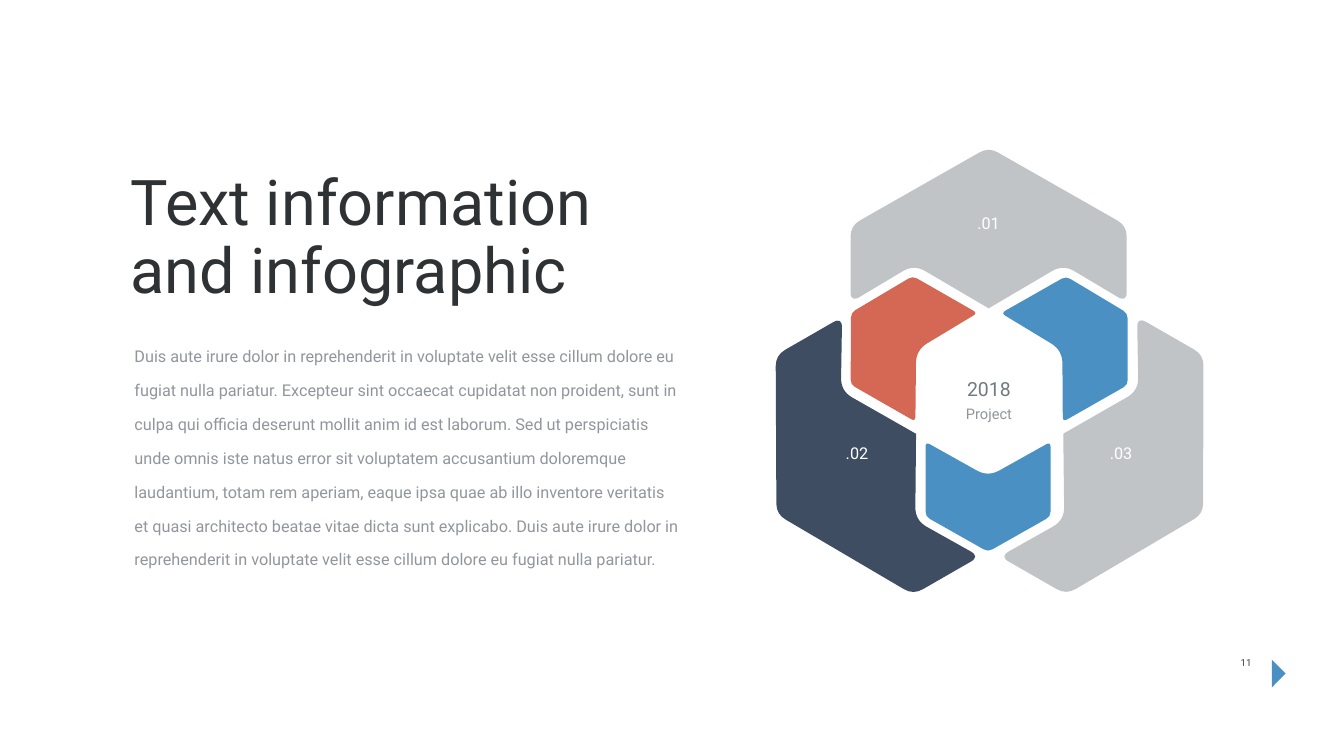
from math import cos, dist, radians, sin

from lxml.etree import SubElement
from pptx import Presentation
from pptx.dml.color import RGBColor
from pptx.enum.text import MSO_ANCHOR, MSO_AUTO_SIZE, PP_ALIGN
from pptx.oxml.ns import qn
from pptx.util import Cm, Pt

FONT = "Roboto"
WHITE = RGBColor(0xFF, 0xFF, 0xFF)
INK = RGBColor(0x2F, 0x32, 0x35)
NUMBER_GREY = RGBColor(0x3F, 0x43, 0x47)
BODY_GREY = RGBColor(0x91, 0x96, 0x9D)
YEAR_GREY = RGBColor(0x71, 0x79, 0x81)
LIGHT_GREY = RGBColor(0xC1, 0xC4, 0xC7)
NAVY = RGBColor(0x3E, 0x4D, 0x61)
RED = RGBColor(0xD5, 0x68, 0x54)
BLUE = RGBColor(0x4B, 0x90, 0xC2)

CENTRE = (49.83, 19.76)
OUTER_HALF = [(0, -12.34, 0.53), (6.96, -8.38, 0.55), (6.96, -4.52, 0.53),
              (3.76, -6.43, 0.66), (0, -4.22, 0)]
INNER_HALF = [(0, 8.05, 0.25), (3.15, 6.27, 0.25), (3.15, 2.51, 0.25), (0, 4.27, 0.66)]

BODY = (
    "Duis aute irure dolor in reprehenderit in voluptate velit esse cillum dolore eu "
    "fugiat nulla pariatur. Excepteur sint occaecat cupidatat non proident, sunt in "
    "culpa qui officia deserunt mollit anim id est laborum. Sed ut perspiciatis "
    "unde omnis iste natus error sit voluptatem accusantium doloremque "
    "laudantium, totam rem aperiam, eaque ipsa quae ab illo inventore veritatis "
    "et quasi architecto beatae vitae dicta sunt explicabo. Duis aute irure dolor in "
    "reprehenderit in voluptate velit esse cillum dolore eu fugiat nulla pariatur."
)


def toward(corner, neighbour, length):
    share = length / dist(corner, neighbour)
    return tuple(a + (b - a) * share for a, b in zip(corner, neighbour))


def round_corners(corners):
    points, controls = [], []
    for index, (x, y, trim) in enumerate(corners):
        corner = (x, y)
        if trim == 0:
            points.append(corner)
            continue
        controls.append(len(points) + 1)
        points += [toward(corner, corners[index - 1][:2], trim), corner,
                   toward(corner, corners[(index + 1) % len(corners)][:2], trim)]
    return points, controls


def bend_corners(shape, controls):
    outline = next(shape._element.iter(qn("a:path")))
    segments = list(outline)
    for control in controls:
        corner, end = segments[control:control + 2]
        curve = SubElement(outline, qn("a:quadBezTo"))
        outline.replace(corner, curve)
        curve.extend([corner[0], end[0]])
        outline.remove(end)


def add_polygon(slide, points, color):
    vertices = [(Cm(x), Cm(y)) for x, y in points]
    builder = slide.shapes.build_freeform(*vertices[0])
    builder.add_line_segments(vertices[1:], close=True)
    shape = builder.convert_to_shape()
    shape.shadow.inherit = False
    shape.fill.solid()
    shape.fill.fore_color.rgb = color
    shape.line.fill.background()
    return shape


def add_petal(slide, half, degrees, shift, color):
    mirrored = [(-x, y, trim) for x, y, trim in reversed(half[1:-1])]
    points, controls = round_corners(half + mirrored)
    cosine, sine = cos(radians(degrees)), sin(radians(degrees))
    turned = [(CENTRE[0] + shift + x * cosine - y * sine, CENTRE[1] + x * sine + y * cosine)
              for x, y in points]
    bend_corners(add_polygon(slide, turned, color), controls)


def write_text(shape, lines, size, color, align=PP_ALIGN.LEFT, spacing=1.0,
               anchor=MSO_ANCHOR.TOP, wrap=True, raised=0, fit=MSO_AUTO_SIZE.NONE):
    frame = shape.text_frame
    frame.auto_size = fit
    frame.word_wrap = wrap
    frame.vertical_anchor = anchor
    frame.margin_left = frame.margin_right = Cm(0.15)
    frame.margin_top = frame.margin_bottom = Cm(0.15)
    for index, line in enumerate(lines):
        paragraph = frame.add_paragraph() if index else frame.paragraphs[0]
        paragraph.alignment = align
        paragraph.line_spacing = spacing
        paragraph.space_before = Pt(0)
        run = paragraph.add_run()
        run.text = line
        run.font.name = FONT
        run.font.size = Pt(size)
        run.font.color.rgb = color
        if raised:
            run.font._element.set("baseline", str(raised * 1000))


def add_text(slide, box, text, size, color, **options):
    shape = slide.shapes.add_textbox(*map(Cm, box))
    write_text(shape, [text], size, color, **options)


def set_title(slide):
    title = slide.shapes.title
    title.left, title.top, title.width, title.height = map(Cm, (6.43, 5.54, 26.06, 13.03))
    write_text(title, ["Text information", "and infographic"], 90, INK,
               spacing=0.9, anchor=MSO_ANCHOR.MIDDLE)


def add_infographic(slide):
    for half, degrees, shift, color in (
        (OUTER_HALF, 0, 0, LIGHT_GREY),
        (OUTER_HALF, 119.8, 0.1, LIGHT_GREY),
        (OUTER_HALF, 240.1, 0, NAVY),
        (INNER_HALF, 119.8, 0.05, RED),
        (INNER_HALF, 240.4, 0, BLUE),
        (INNER_HALF, 0, -0.03, BLUE),
    ):
        add_petal(slide, half, degrees, shift, color)
    for text, left, top in ((".01", 48.67, 10.62), (".03", 55.35, 22.2), (".02", 42.04, 22.2)):
        add_text(slide, (left, top, 2.31, 2.16), text, 40, WHITE, align=PP_ALIGN.CENTER,
                 spacing=0.9, anchor=MSO_ANCHOR.MIDDLE, wrap=False, raised=43,
                 fit=MSO_AUTO_SIZE.SHAPE_TO_FIT_TEXT)
    add_text(slide, (46.15, 20.7, 7.39, 1.04), "Project", 36, BODY_GREY,
             align=PP_ALIGN.CENTER, spacing=0.7, raised=43)
    add_text(slide, (46.15, 19.23, 7.39, 1.3), "2018", 48, YEAR_GREY,
             align=PP_ALIGN.CENTER, spacing=0.7, raised=33)


def add_page_mark(slide):
    add_polygon(slide, [(64.11, 33.25), (64.8, 33.94), (64.11, 34.64)], BLUE)
    add_text(slide, (61.52, 33.25, 2.57, 1.42), "11", 24, NUMBER_GREY,
             align=PP_ALIGN.CENTER, spacing=0.7, raised=43)


def main():
    presentation = Presentation()
    presentation.slide_width = Cm(67.74)
    presentation.slide_height = Cm(38.1)
    slide = presentation.slides.add_slide(presentation.slide_layouts[5])
    add_page_mark(slide)
    add_infographic(slide)
    set_title(slide)
    add_text(slide, (6.63, 17.32, 27.81, 10.54), BODY, 40, BODY_GREY, raised=43)
    presentation.save("out.pptx")


if __name__ == "__main__":
    main()
